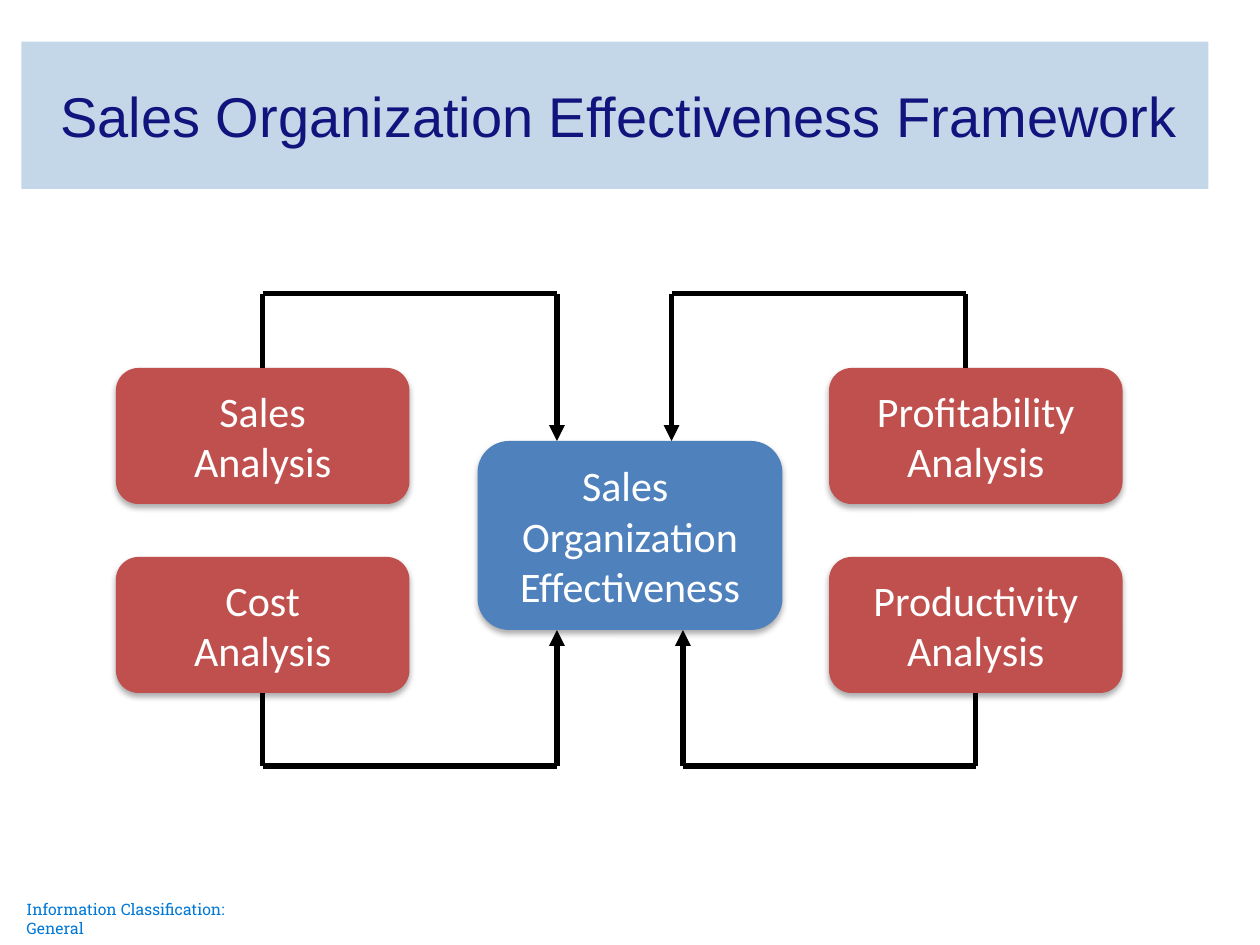
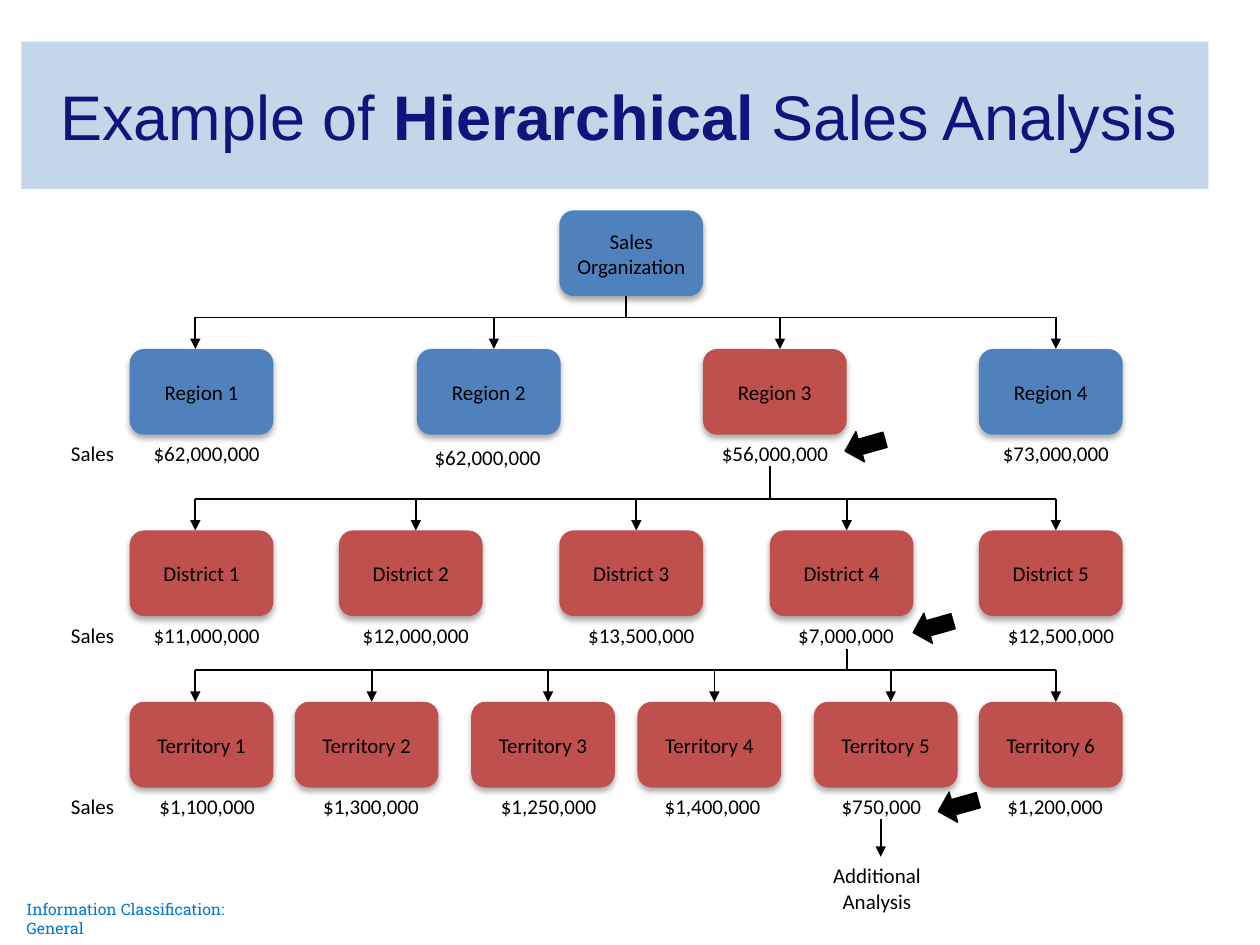
import pptx
import pptx.dml.color
import pptx.enum.shapes
import pptx.enum.text
import pptx.oxml
import pptx.oxml.ns
import pptx.util
from lxml import etree

Inches = pptx.util.Inches
Pt = pptx.util.Pt
RGBColor = pptx.dml.color.RGBColor
MSO_SHAPE = pptx.enum.shapes.MSO_SHAPE
MSO_ANCHOR = pptx.enum.text.MSO_ANCHOR
MSO_AUTO_SIZE = pptx.enum.text.MSO_AUTO_SIZE
PP_ALIGN = pptx.enum.text.PP_ALIGN
qn = pptx.oxml.ns.qn

# Shared style
BAND = RGBColor(0xC4, 0xD7, 0xE9)
NAVY = RGBColor(0x11, 0x14, 0x7D)
FOOTER_BLUE = RGBColor(0x00, 0x78, 0xD7)
BLUE = RGBColor(0x4F, 0x81, 0xBD)
RED = RGBColor(0xC0, 0x50, 0x4D)
BLACK = RGBColor(0, 0, 0)
WHITE = RGBColor(0xFF, 0xFF, 0xFF)

# Sales hierarchy: boxes, amounts and the levels they form
UNIT_WIDTH, UNIT_HEIGHT = 1.14, 0.68
LABEL_HEIGHT = 0.3
BUS_GAP = 0.25
AMOUNT_WIDTHS = {11: 1.12, 10: 1.03, 8: 0.89}  # by number of characters

# Each unit: left of box, amount, left of amount
REGIONS = [
    (1.03, "$62,000,000", 1.08),
    (3.31, "$62,000,000", 3.31),
    (5.58, "$56,000,000", 5.59),
    (7.77, "$73,000,000", 7.82),
]
DISTRICTS = [
    (1.03, "$11,000,000", 1.08),
    (2.69, "$12,000,000", 2.74),
    (4.44, "$13,500,000", 4.53),
    (6.11, "$7,000,000", 6.2),
    (7.77, "$12,500,000", 7.86),
]
TERRITORIES = [
    (1.03, "$1,100,000", 1.13),
    (2.34, "$1,300,000", 2.43),
    (3.74, "$1,250,000", 3.84),
    (5.06, "$1,400,000", 5.14),
    (6.46, "$750,000", 6.55),
    (7.77, "$1,200,000", 7.86),
]
# Each level: name, top, units, x and top of the stem from the level above
LEVELS = [
    ("Region", 2.77, REGIONS, 4.97, 2.35),
    ("District", 4.21, DISTRICTS, 6.11, 3.7),
    ("Territory", 5.57, TERRITORIES, 6.72, 5.15),
]
POINTERS = [(6.7, 3.41), (7.24, 4.85), (7.44, 6.27)]


def format_text(frame, name, size, color, align=None):
    for paragraph in frame.paragraphs:
        paragraph.alignment = align
        for run in paragraph.runs:
            run.font.name = name
            run.font.size = Pt(size)
            run.font.color.rgb = color


def add_framed_slide(prs, title_parts, size):
    """Add a slide with title band and footer; parts are (text, bold)."""
    slide = prs.slides.add_slide(prs.slide_layouts[5])
    title = slide.shapes.title
    title.left, title.top = Inches(0.17), Inches(0.33)
    title.width, title.height = Inches(9.42), Inches(1.17)
    title.fill.solid()
    title.fill.fore_color.rgb = BAND
    frame = title.text_frame
    frame.auto_size = MSO_AUTO_SIZE.NONE
    frame.vertical_anchor = MSO_ANCHOR.MIDDLE
    heading = frame.paragraphs[0]
    heading._p.get_or_add_pPr().set("marL", str(Inches(0.21)))
    for text, bold in title_parts:
        run = heading.add_run()
        run.text = text
        run.font.bold = bold
    format_text(frame, "Arial", size, NAVY, PP_ALIGN.LEFT)

    footer = slide.shapes.add_textbox(
        Inches(0.21), Inches(7.14), Inches(2.03), Inches(0.15)).text_frame
    footer.margin_left = footer.margin_right = 0
    footer.margin_top = footer.margin_bottom = 0
    footer.word_wrap = True
    footer.text = "Information Classification: General"
    format_text(footer, "Roboto Slab", 9, FOOTER_BLUE)
    return slide


def add_unit(slide, text, left, top, width, height, fill, size, color):
    """Add a rounded box with a soft shadow below it."""
    unit = slide.shapes.add_shape(
        MSO_SHAPE.ROUNDED_RECTANGLE,
        Inches(left), Inches(top), Inches(width), Inches(height))
    unit.fill.solid()
    unit.fill.fore_color.rgb = fill
    unit.line.fill.background()
    unit.shadow.inherit = False
    effects = unit._element.spPr.find(qn("a:effectLst"))
    shadow = etree.SubElement(
        effects, qn("a:outerShdw"), blurRad=str(Pt(3.5)), dist=str(Pt(2.2)),
        dir="5400000", rotWithShape="0")
    tint = etree.SubElement(shadow, qn("a:srgbClr"), val="000000")
    etree.SubElement(tint, qn("a:alpha"), val="32000")
    frame = unit.text_frame
    frame.word_wrap = False
    frame.vertical_anchor = MSO_ANCHOR.MIDDLE
    frame.text = text
    format_text(frame, "Calibri", size, color, PP_ALIGN.CENTER)
    return unit


def add_label(slide, text, left, top, width, height=LABEL_HEIGHT):
    frame = slide.shapes.add_textbox(
        Inches(left), Inches(top), Inches(width), Inches(height)).text_frame
    frame.word_wrap = False
    frame.auto_size = MSO_AUTO_SIZE.SHAPE_TO_FIT_TEXT
    frame.text = text
    format_text(frame, "Calibri", 12, BLACK, PP_ALIGN.CENTER)


def add_line(slide, start, end, weight=1, arrow=False):
    line = slide.shapes.add_connector(
        pptx.enum.shapes.MSO_CONNECTOR.STRAIGHT,
        *(Inches(value) for value in (*start, *end)))
    line.line.width = Pt(weight)
    line.line.color.rgb = BLACK
    if arrow:
        etree.SubElement(line.line._get_or_add_ln(), qn("a:tailEnd"), type="triangle")
    etree.SubElement(line._element.spPr, qn("a:effectLst"))
    return line


def add_pointer(slide, left, top):
    pointer = slide.shapes.add_shape(
        MSO_SHAPE.RIGHT_ARROW,
        Inches(left), Inches(top), Inches(0.33), Inches(0.25))
    pointer.rotation = 164.2
    pointer.fill.solid()
    pointer.fill.fore_color.rgb = BLACK
    pointer.line.color.rgb = BLACK
    pointer.line.width = Pt(0.75)
    pointer.shadow.inherit = False


def build_framework(prs):
    slide = add_framed_slide(
        prs, [("Sales Organization Effectiveness Framework", None)], 32)
    width, height = 2.33, 1.08
    # Each analysis: text, left, top, side, bend y, arrow x, arrow y, stub shift
    analyses = [
        ("Sales\vAnalysis", 0.92, 2.92, 0, 2.33, 4.42, 3.5, 0),
        ("Cost\vAnalysis", 0.92, 4.42, 2, 6.08, 4.42, 5, 0),
        ("Profitability\vAnalysis", 6.58, 2.92, 0, 2.33, 5.33, 3.5, -0.08),
        ("Productivity\vAnalysis", 6.58, 4.42, 2, 6.08, 5.42, 5, 0),
    ]
    add_unit(slide, "Sales \vOrganization\vEffectiveness",
             3.79, 3.5, 2.42, 1.5, BLUE, 24, WHITE)
    for text, left, top, side, bend_y, arrow_x, arrow_y, shift in analyses:
        analysis = add_unit(slide, text, left, top, width, height, RED, 24, WHITE)
        stub_x = left + width / 2 + shift
        edge_y = top if side == 0 else top + height
        stub = add_line(slide, (stub_x, edge_y), (stub_x, bend_y), 3)
        if not shift:
            stub.begin_connect(analysis, side)
        add_line(slide, (stub_x, bend_y), (arrow_x, bend_y), 3)
        add_line(slide, (arrow_x, bend_y), (arrow_x, arrow_y), 3, arrow=True)


def add_level(slide, name, top, units, stem_x, stem_top):
    """Add one level: boxes, amounts, the bus above and its drops."""
    label_top = top + UNIT_HEIGHT
    bus_y = top - BUS_GAP
    add_label(slide, "Sales", 0.42, label_top, 0.63)
    drops = []
    for number, (left, amount, amount_left) in enumerate(units, 1):
        is_blue = name == "Region" and number != 3
        add_unit(slide, f"{name} {number}", left, top, UNIT_WIDTH, UNIT_HEIGHT,
                 BLUE if is_blue else RED, 12, BLACK)
        lowered = 0.03 if (name, number) == ("Region", 2) else 0
        add_label(slide, amount, amount_left, label_top + lowered,
                  AMOUNT_WIDTHS[len(amount)])
        drops.append(left + (0.52 if number == 1 else 0.61))
    add_line(slide, (stem_x, stem_top), (stem_x, bus_y))
    add_line(slide, (drops[0], bus_y), (drops[-1], bus_y))
    for drop_x in drops:
        add_line(slide, (drop_x, bus_y), (drop_x, top), arrow=True)


def build_hierarchy(prs):
    slide = add_framed_slide(
        prs, [("Example of ", None), ("Hierarchical", True),
              (" Sales Analysis", False)], 36)
    add_unit(slide, "Sales\nOrganization", 4.44, 1.67, UNIT_WIDTH, UNIT_HEIGHT,
             BLUE, 12, BLACK)
    for level in LEVELS:
        add_level(slide, *level)
    # Follow-up of the weakest territory
    add_line(slide, (6.99, 6.5), (6.99, 6.8), arrow=True)
    add_label(slide, "Additional\nAnalysis", 6.49, 6.8, 0.94, 0.51)
    for left, top in POINTERS:
        add_pointer(slide, left, top)


def main():
    prs = pptx.Presentation()
    prs.slide_width, prs.slide_height = Inches(10), Inches(7.5)
    build_framework(prs)
    build_hierarchy(prs)
    prs.save("out.pptx")


if __name__ == "__main__":
    main()
